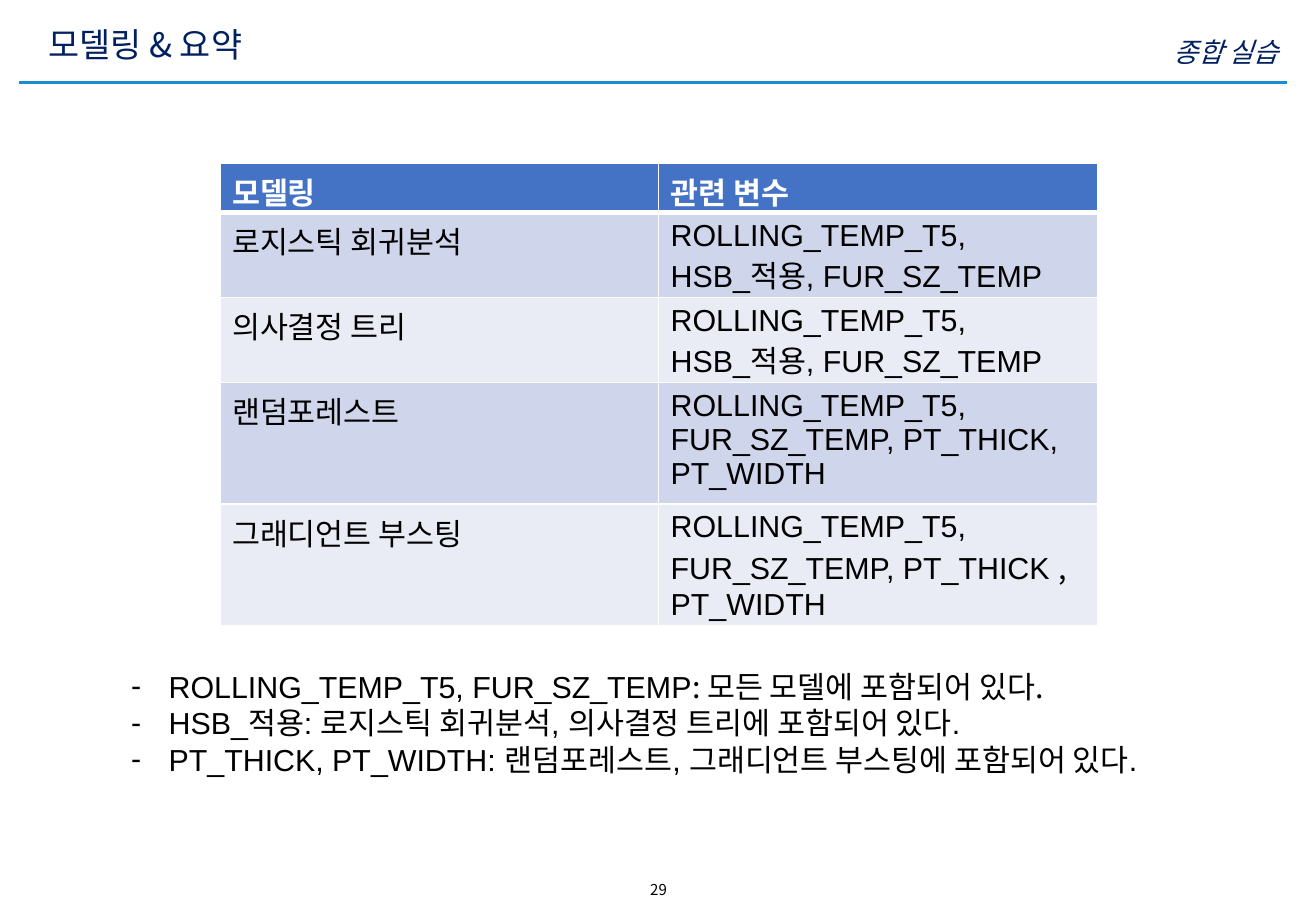
import pptx
import pptx.dml.color
import pptx.enum.text
import pptx.oxml
import pptx.oxml.ns
import pptx.util
from dataclasses import dataclass
from lxml import etree

Inches = pptx.util.Inches
Pt = pptx.util.Pt
Align = pptx.enum.text.PP_ALIGN
Anchor = pptx.enum.text.MSO_ANCHOR
qn = pptx.oxml.ns.qn


@dataclass(frozen=True)
class Theme:
    latin: str = "Arial"
    korean: str = "Noto Sans CJK KR"
    navy: str = "002060"
    rule: str = "188DD0"
    black: str = "000000"
    white: str = "FFFFFF"
    header: str = "4472C4"
    bands: tuple = ("CFD5EA", "E9EBF5")
    title_size: float = 20
    section_size: float = 16
    body_size: float = 18
    number_size: float = 8.9


theme = Theme()


def rgb(value):
    return pptx.dml.color.RGBColor.from_string(value)


def write(frame, paragraphs, size=theme.body_size, color=theme.black, bold=False,
          italic=False, align=Align.LEFT, bullet=None, spacing=None):
    """Fill a text frame; each paragraph is a list of (text, font) spans."""
    frame.word_wrap = True
    for index, spans in enumerate(paragraphs):
        para = frame.paragraphs[0] if index == 0 else frame.add_paragraph()
        para.alignment = align
        if spacing:
            para.line_spacing = Pt(spacing)
        if bullet:
            props = para._p.get_or_add_pPr()
            props.set("marL", str(Inches(0.31)))
            props.set("indent", str(-Inches(0.31)))
            etree.SubElement(props, qn("a:buFont")).set("typeface", theme.latin)
            etree.SubElement(props, qn("a:buChar")).set("char", bullet)
        for text, font in spans:
            span = para.add_run()
            span.text = text
            span.font.name = font
            span.font.size = Pt(size)
            span.font.bold = bold
            span.font.italic = italic
            span.font.color.rgb = rgb(color)
            east_asian = etree.SubElement(span._r.get_or_add_rPr(), qn("a:ea"))
            east_asian.set("typeface", theme.korean)


deck = pptx.Presentation()
deck.slide_width, deck.slide_height = Inches(10.83), Inches(7.5)
page = deck.slides.add_slide(deck.slide_layouts[6])

# Rule under the heading
rule = page.shapes.add_connector(
    pptx.enum.shapes.MSO_CONNECTOR.STRAIGHT,
    Inches(0.16), Inches(0.68), Inches(10.59), Inches(0.68))
rule.line.color.rgb = rgb(theme.rule)
rule.line.width = Pt(2)
etree.SubElement(rule._element.spPr, qn("a:effectLst"))

# Title, section name and page number
labels = [
    ("모델링 & 요약", (0.3, 0.14, 8.51, 0.44), Anchor.MIDDLE,
     dict(size=theme.title_size, color=theme.navy)),
    ("종합 실습", (6.55, 0.24, 4.07, 0.3), Anchor.TOP,
     dict(size=theme.section_size, color=theme.navy, italic=True, align=Align.RIGHT)),
    ("29", (4.39, 7.2, 2.06, 0.25), Anchor.TOP,
     dict(size=theme.number_size, align=Align.CENTER)),
]
for text, place, anchor, style in labels:
    box = page.shapes.add_textbox(*map(Inches, place))
    box.text_frame.vertical_anchor = anchor
    write(box.text_frame, [[(text, theme.korean)]], **style)

# Table of models and their variables
shared_variables = [[("ROLLING_TEMP_T5,", theme.latin)],
                    [("HSB_적용, FUR_SZ_TEMP", theme.latin)]]
rows = [
    ("모델링", [[("관련 변수", theme.korean)]], 0.41),
    ("로지스틱 회귀분석", shared_variables, 0.7),
    ("의사결정 트리", shared_variables, 0.7),
    ("랜덤포레스트",
     [[("ROLLING_TEMP_T5, FUR_SZ_TEMP, PT_THICK, PT_WIDTH", theme.latin)]], 1),
    ("그래디언트 부스팅",
     [[("ROLLING_TEMP_T5, FUR_SZ_TEMP, PT_THICK ", theme.latin),
       (", ", theme.korean), ("PT_WIDTH", theme.latin)]], 1),
]
table = page.shapes.add_table(len(rows), 2, Inches(1.81), Inches(1.34),
                              Inches(7.22), Inches(3.81)).table
for row, (model, variables, height) in enumerate(rows):
    table.rows[row].height = Inches(height)
    is_header = row == 0
    for column, paragraphs in enumerate([[[(model, theme.korean)]], variables]):
        cell = table.cell(row, column)
        cell.margin_bottom = 0
        write(cell.text_frame, paragraphs, bold=is_header,
              color=theme.white if is_header else theme.black)
        # Borders come before the fill in the cell properties
        for side in ("lnL", "lnR", "lnT", "lnB"):
            thick = (is_header and side == "lnB") or (row == 1 and side == "lnT")
            border = etree.SubElement(cell._tc.get_or_add_tcPr(), qn("a:" + side))
            border.set("w", str(Pt(3 if thick else 1)))
            paint = etree.SubElement(border, qn("a:solidFill"))
            etree.SubElement(paint, qn("a:srgbClr")).set("val", theme.white)
        cell.fill.solid()
        cell.fill.fore_color.rgb = rgb(
            theme.header if is_header else theme.bands[(row - 1) % 2])

# Findings
findings = [
    [("ROLLING_TEMP_T5, FUR_SZ_TEMP", theme.latin),
     (": 모든 모델에 포함되어 있다.", theme.korean)],
    [("HSB_적용: 로지스틱 회귀분석, 의사결정 트리에 포함되어 있다.", theme.latin)],
    [("PT_THICK, PT_WIDTH: 랜덤포레스트, 그래디언트 부스팅에 포함되어 있다.", theme.latin)],
]
box = page.shapes.add_textbox(Inches(0.98), Inches(5.45), Inches(9.12), Inches(1.01))
write(box.text_frame, findings, bullet="-", spacing=21.6)

deck.save("out.pptx")
